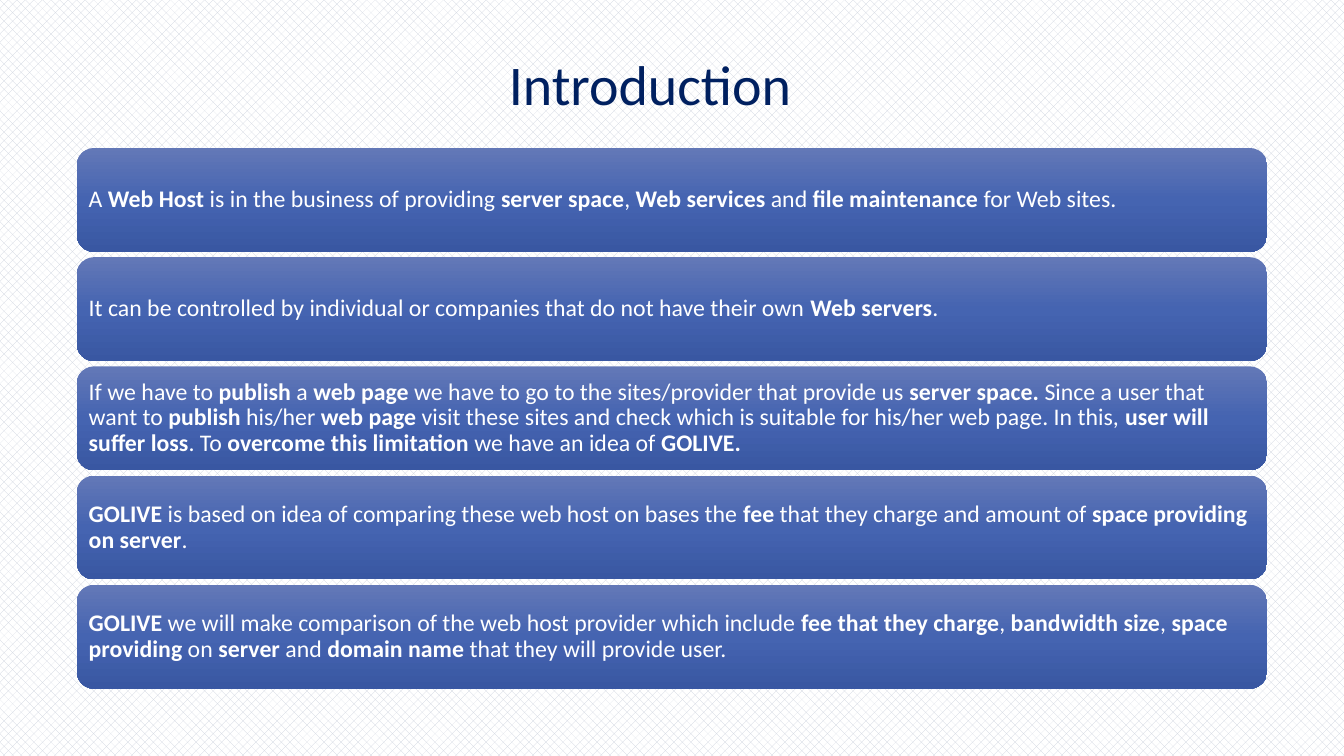
from copy import deepcopy

from pptx import Presentation
from pptx.dml.color import RGBColor
from pptx.enum.dml import MSO_PATTERN
from pptx.enum.shapes import MSO_SHAPE
from pptx.enum.text import MSO_ANCHOR, PP_ALIGN
from pptx.oxml.ns import qn
from pptx.util import Pt

COLORS = {
    "title": "002060",
    "text": "FFFFFF",
    "paper": "FFFFFF",
    "weave": "CCD2DD",
    "top": "6378B7",
    "middle": "4564B1",
    "bottom": "3957A2",
}

POINTS = [
    "A **Web Host **is in the business of providing **server space**, "
    "**Web services** and **file maintenance** for Web sites.",
    "It can be controlled by individual or companies that do not have "
    "their own **Web servers**.",
    "If we have to **publish** a **web page **we have to go to the "
    "sites/provider that provide us **server space. **Since a user that "
    "want to **publish** his/her **web page** visit these sites and check "
    "which is suitable for his/her web page. In this, **user will suffer "
    "loss**. To **overcome this limitation** we have an idea of **GOLIVE.**",
    "**GOLIVE **is based on idea of comparing these web host on bases the "
    "**fee** that they charge and amount of **space providing on server**.",
    "**GOLIVE **we will make comparison of the web host provider which "
    "include **fee that they charge**, **bandwidth size**, **space "
    "providing** on **server** and **domain name** that they will provide "
    "user.",
]


class Deck:
    font = "Calibri"

    def __init__(self, width, height):
        self.show = Presentation()
        self.show.slide_width = Pt(width)
        self.show.slide_height = Pt(height)
        self.slide = self.show.slides.add_slide(self.show.slide_layouts[6])

    def color(self, name):
        return RGBColor.from_string(COLORS[name])

    def backdrop(self):
        fill = self.slide.background.fill
        fill.patterned()
        fill.pattern = MSO_PATTERN.WEAVE
        fill.fore_color.rgb = self.color("weave")
        fill.back_color.rgb = self.color("paper")

    def label(self, para, text, size, color):
        for index, part in enumerate(text.split("**")):
            if part:
                run = para.add_run()
                run.text = part
                if index % 2:
                    run.font.bold = True
        para.alignment = PP_ALIGN.LEFT
        para.font.name = self.font
        para.font.size = Pt(size)
        para.font.color.rgb = self.color(color)

    def title(self, text, left, top, width, height):
        box = self.slide.shapes.add_textbox(
            Pt(left), Pt(top), Pt(width), Pt(height))
        box.text_frame.word_wrap = True
        self.label(box.text_frame.paragraphs[0], text, 40, "title")

    def shade(self, shape):
        fill = shape.fill
        fill.gradient()
        fill.gradient_angle = 270
        stops = shape._element.spPr.find(".//" + qn("a:gsLst"))
        stops.insert(1, deepcopy(stops[0]))
        names = ("top", "middle", "bottom")
        for index, (stop, name) in enumerate(zip(fill.gradient_stops, names)):
            stop.position = index / 2
            stop.color.rgb = self.color(name)

    def panel(self, text, left, top, width, height):
        shape = self.slide.shapes.add_shape(
            MSO_SHAPE.ROUNDED_RECTANGLE,
            Pt(left), Pt(top), Pt(width), Pt(height))
        shape.shadow.inherit = False
        shape.line.fill.background()
        self.shade(shape)
        frame = shape.text_frame
        frame.word_wrap = True
        frame.vertical_anchor = MSO_ANCHOR.MIDDLE
        frame.margin_left = frame.margin_right = Pt(5)
        frame.margin_top = frame.margin_bottom = Pt(5)
        para = frame.paragraphs[0]
        para.line_spacing = 0.9
        self.label(para, text, 17, "text")


def main():
    deck = Deck(960, 540)
    deck.backdrop()
    deck.title("Introduction", 356.4, 31.7, 248, 55.4)
    for row, text in enumerate(POINTS):
        deck.panel(text, 54.8, 105.7 + 78 * row, 850.3, 74.2)
    deck.show.save("out.pptx")


if __name__ == "__main__":
    main()
